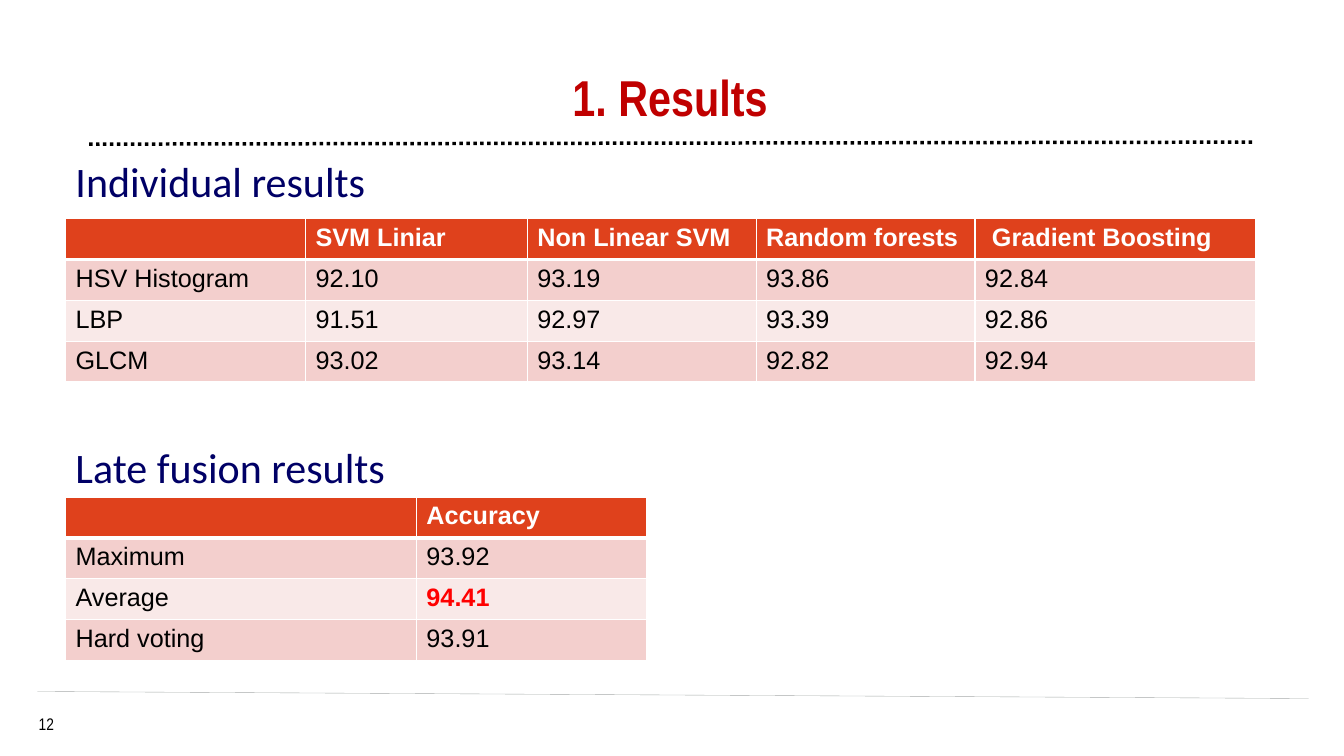
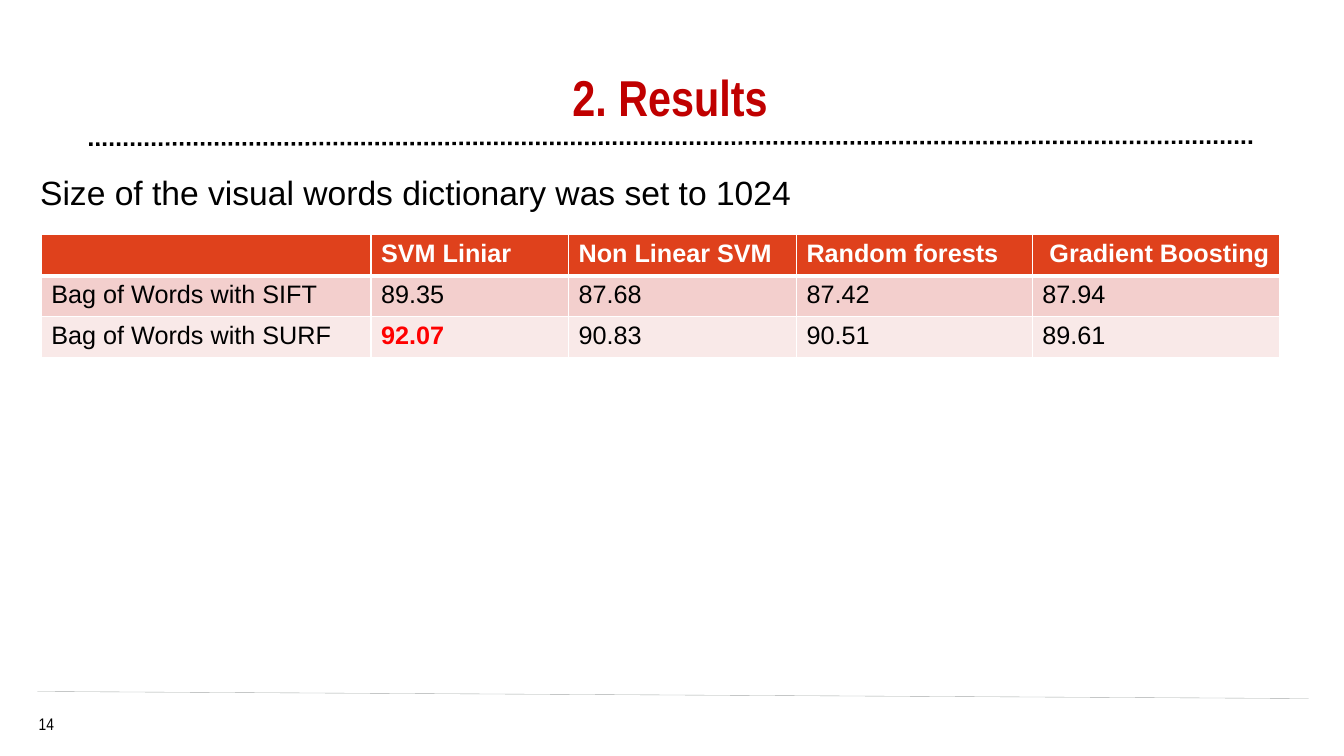
from lxml import etree
from pptx import Presentation
from pptx.dml.color import RGBColor
from pptx.enum.dml import MSO_LINE
from pptx.enum.shapes import MSO_CONNECTOR
from pptx.enum.text import MSO_ANCHOR, PP_ALIGN
from pptx.oxml.ns import qn
from pptx.util import Inches, Pt

STRAIGHT = MSO_CONNECTOR.STRAIGHT
DOTTED = MSO_LINE.ROUND_DOT
TOP, MIDDLE, BOTTOM = MSO_ANCHOR.TOP, MSO_ANCHOR.MIDDLE, MSO_ANCHOR.BOTTOM
LEFT, CENTER, JUSTIFY = PP_ALIGN.LEFT, PP_ALIGN.CENTER, PP_ALIGN.JUSTIFY

COLORS = {
    "white": "FFFFFF",
    "black": "000000",
    "title": "C00000",
    "heading": "000066",
    "best": "FF0000",
    "footer_line": "A6AAA9",
    "header": "DF411C",
    "odd_row": "F3CFCD",
    "even_row": "F9E9E8",
}
BODY_FONT, NARROW_FONT, HEADING_FONT = "Arial", "Arial Narrow", "Calibri"
ROW_HEIGHT = 0.405
DEFAULT_INSETS = (0.1, 0.05, 0.1, 0.05)
CLASSIFIERS = ["", "SVM Liniar", "Non Linear SVM", "Random forests", " Gradient Boosting"]


def rgb(name):
    return RGBColor.from_string(COLORS[name])


def write_text(frame, text, font=BODY_FONT, size=18, color="black", bold=False,
               align=LEFT, spacing=None):
    para = frame.paragraphs[0]
    para.alignment = align
    para.line_spacing = spacing
    span = para.add_run()
    span.text = text
    span.font.name = font
    span.font.size = Pt(size)
    span.font.bold = bold
    span.font.color.rgb = rgb(color)


def add_text(page, box, text, anchor=TOP, insets=DEFAULT_INSETS, **style):
    frame = page.shapes.add_textbox(*map(Inches, box)).text_frame
    frame.word_wrap = True
    frame.vertical_anchor = anchor
    (frame.margin_left, frame.margin_top,
     frame.margin_right, frame.margin_bottom) = map(Inches, insets)
    write_text(frame, text, **style)


def add_line(page, start, end, color, width, dash=None):
    line = page.shapes.add_connector(STRAIGHT, *map(Inches, start + end))
    line.line.color.rgb = rgb(color)
    line.line.width = Pt(width)
    if dash:
        line.line.dash_style = dash
    etree.SubElement(line._element.spPr, qn("a:effectLst"))


def add_borders(cell, row):
    properties = cell._tc.get_or_add_tcPr()
    widths = {"L": 1, "R": 1, "T": 3 if row == 1 else 1, "B": 3 if row == 0 else 1}
    for side, width in widths.items():
        border = etree.SubElement(properties, qn(f"a:ln{side}"), w=str(Pt(width)))
        fill = etree.SubElement(border, qn("a:solidFill"))
        etree.SubElement(fill, qn("a:srgbClr"), val=COLORS["white"])


def add_results(page, left, top, widths, rows, best=None):
    table = page.shapes.add_table(
        len(rows), len(widths), Inches(left), Inches(top),
        Inches(sum(widths)), Inches(ROW_HEIGHT * len(rows))).table
    for column, width in zip(table.columns, widths):
        column.width = Inches(width)
    for row, values in enumerate(rows):
        table.rows[row].height = Inches(ROW_HEIGHT)
        row_fill = "header" if row == 0 else "odd_row" if row % 2 else "even_row"
        for column, text in enumerate(values):
            cell = table.cell(row, column)
            add_borders(cell, row)
            cell.fill.solid()
            cell.fill.fore_color.rgb = rgb(row_fill)
            if text:
                color = "white" if row == 0 else "best" if text == best else "black"
                write_text(cell.text_frame, text, color=color, bold=color != "black")


def add_heading(page, left, top, width, text):
    add_text(page, (left, top, width, 0.61), text, anchor=MIDDLE,
             font=HEADING_FONT, size=30, color="heading")


def add_page(deck, title, number):
    page = deck.slides.add_slide(deck.slide_layouts[6])
    page.background.fill.solid()
    page.background.fill.fore_color.rgb = rgb("white")
    add_text(page, (0.22, 7.08, 0.48, 0.2), number, insets=(0, 0, 0, 0),
             font=NARROW_FONT, size=12, align=CENTER)
    add_line(page, (0.37, 6.86), (12.98, 6.93), "footer_line", 0.25)
    add_line(page, (12.42, 1.41), (0.88, 1.43), "black", 2.5, DOTTED)
    add_text(page, (1.32, 0.17, 10.75, 1.12), title, anchor=BOTTOM,
             insets=(0, 0.05, 0.1, 0.05), font=NARROW_FONT, size=36,
             color="title", bold=True, align=CENTER, spacing=0.7)
    return page


def build_feature_results(deck):
    page = add_page(deck, "1. Results", "12")
    left = 0.65
    add_results(page, left, 2.17, [2.38, 2.2, 2.27, 2.17, 2.78], [
        CLASSIFIERS,
        ["HSV Histogram", "92.10", "93.19", "93.86", "92.84"],
        ["LBP", "91.51", "92.97", "93.39", "92.86"],
        ["GLCM", "93.02", "93.14", "92.82", "92.94"],
    ])
    add_results(page, left, 4.93, [3.48, 2.28], [
        ["", "Accuracy"],
        ["Maximum", "93.92"],
        ["Average", "94.41"],
        ["Hard voting", "93.91"],
    ], best="94.41")
    add_heading(page, left, 1.49, 9.45, "Individual results")
    add_heading(page, left, 4.32, 5.68, "Late fusion results")


def build_dictionary_results(deck):
    page = add_page(deck, "2. Results", "14")
    add_results(page, 0.41, 2.33, [3.27, 1.96, 2.26, 2.34, 2.45], [
        CLASSIFIERS,
        ["Bag of Words with SIFT", "89.35", "87.68", "87.42", "87.94"],
        ["Bag of Words with SURF", "92.07", "90.83", "90.51", "89.61"],
    ], best="92.07")
    add_text(page, (0.3, 1.66, 9.43, 0.5),
             "Size of the visual words dictionary was set to 1024",
             size=24, align=JUSTIFY)


def main():
    deck = Presentation()
    deck.slide_width = Inches(13.33)
    deck.slide_height = Inches(7.5)
    build_feature_results(deck)
    build_dictionary_results(deck)
    deck.save("out.pptx")


if __name__ == "__main__":
    main()
